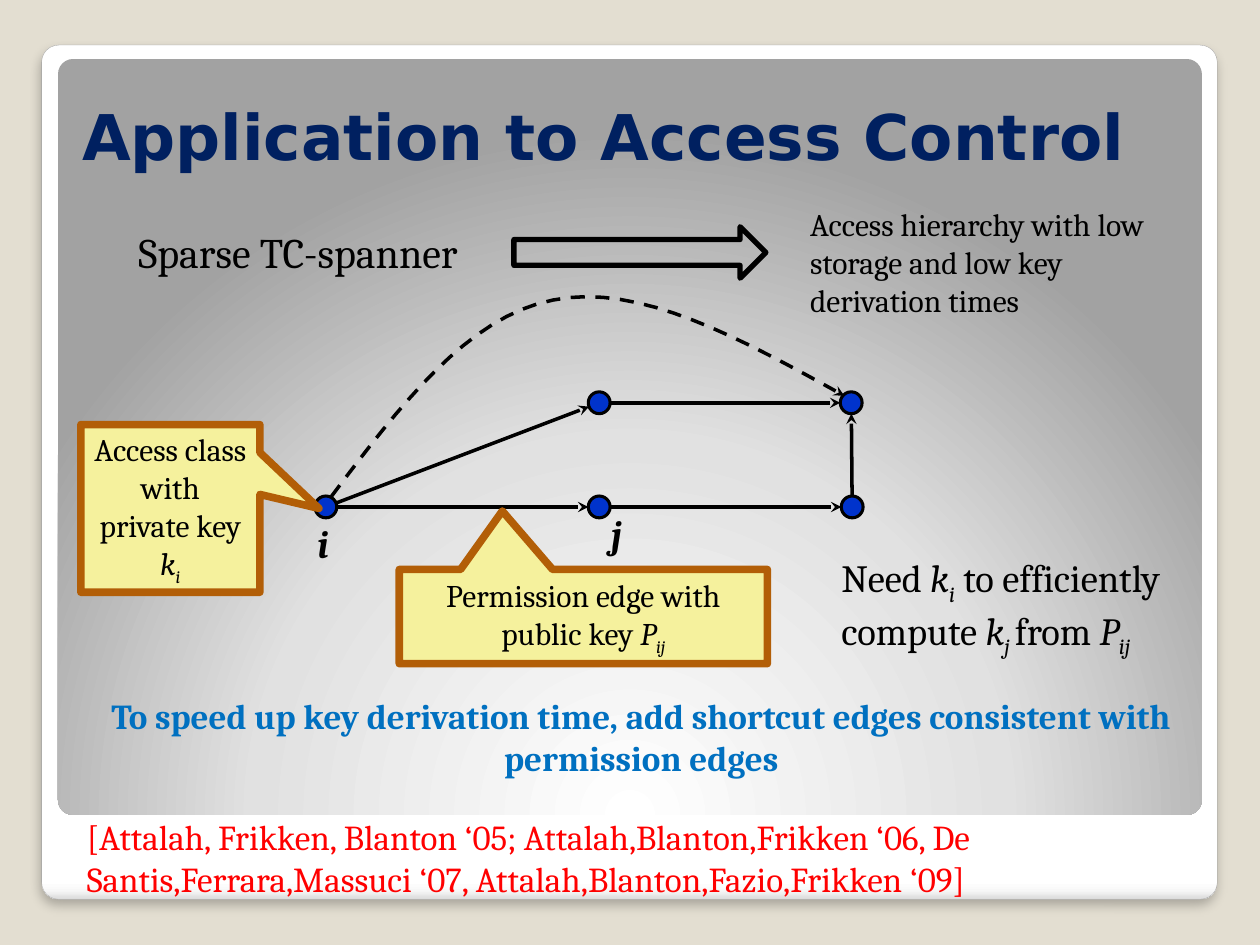
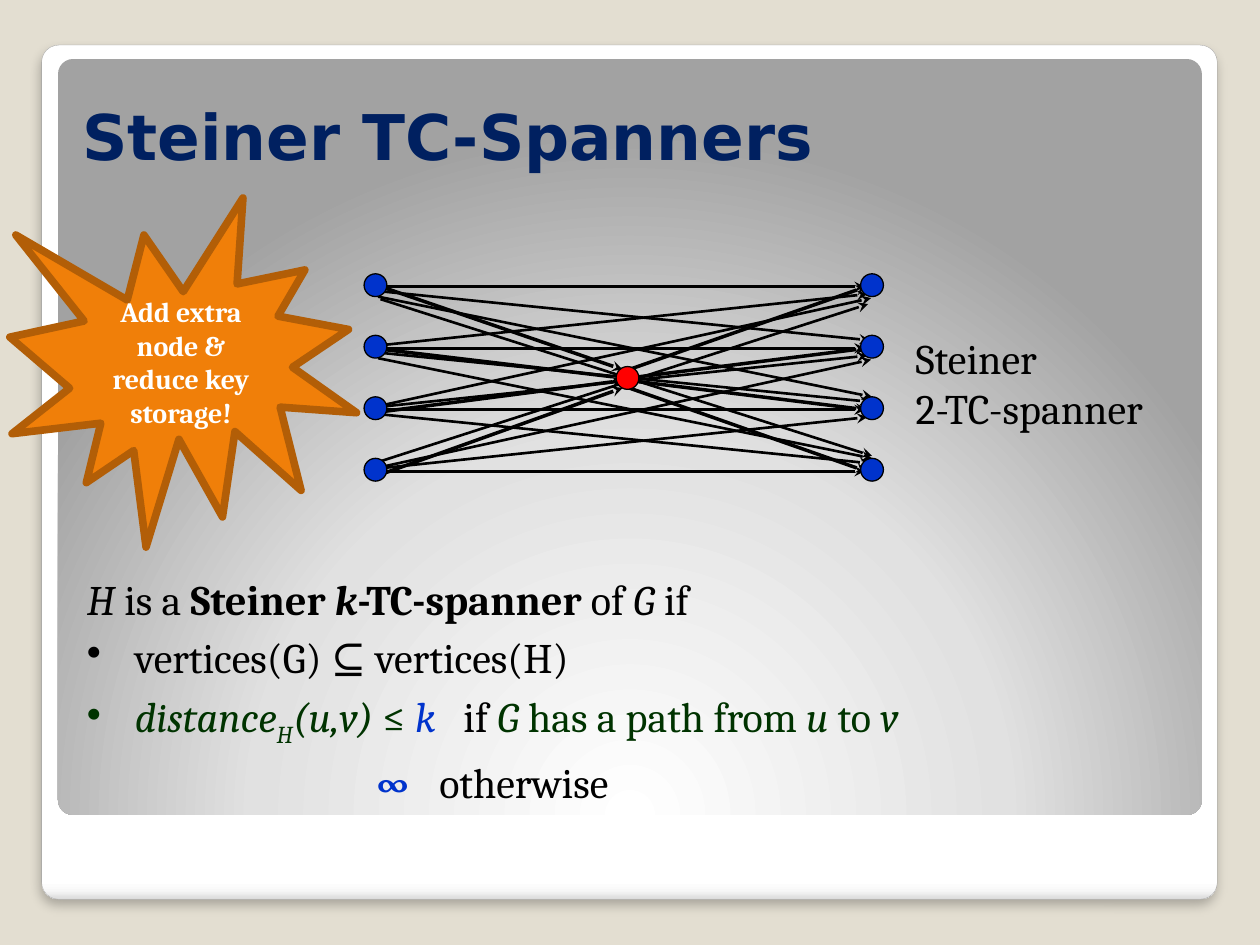
from itertools import product
from math import hypot
from lxml.etree import SubElement
from pptx import Presentation
from pptx.dml.color import RGBColor
from pptx.enum.dml import MSO_LINE as Dash
from pptx.enum.shapes import MSO_CONNECTOR as Wire, MSO_SHAPE as Form
from pptx.enum.text import MSO_ANCHOR as Anchor, MSO_AUTO_SIZE as Fit, PP_ALIGN as Align
from pptx.oxml.ns import qn
from pptx.util import Cm, Pt

BLACK, WHITE, RED = "000000", "FFFFFF", "FF0000"
NAVY, BLUE, SKY, GREEN = "002060", "0033CC", "0070C0", "003300"
SAND, LEMON, AMBER, RUST = "E3DED1", "F5F19D", "F07F09", "B25E07"
BODY = {"name": "Cambria", "hue": BLACK}
ITAL = {"italic": True}
BOLD = {"bold": True}
SUB = {"italic": True, "baseline": -25000}


def tint(code):
    return RGBColor.from_string(code)


def cms(*sizes):
    return [Cm(size) for size in sizes]


def node(parent, tag, **attrs):
    return SubElement(parent, qn(tag), {key: str(val) for key, val in attrs.items()})


def style(run, look):
    for key, val in look.items():
        if key == "hue":
            run.font.color.rgb = tint(val)
        elif key in ("baseline", "spc"):
            run.font._element.set(key, str(val))
        else:
            setattr(run.font, key, val)


def fill_text(frame, paras, look, align=Align.LEFT, anchor=Anchor.TOP, wrap=True):
    for key, val in {"word_wrap": wrap, "auto_size": Fit.NONE, "vertical_anchor": anchor}.items():
        setattr(frame, key, val)
    for num, runs in enumerate(paras):
        para = frame.add_paragraph() if num else frame.paragraphs[0]
        para.alignment = align
        for text, extra in runs:
            run = para.add_run()
            run.text = text
            style(run, {**look, **extra})
    return frame


def label(slide, box, paras, size, align=Align.LEFT, wrap=True, **extra):
    frame = slide.shapes.add_textbox(*cms(*box)).text_frame
    return fill_text(frame, paras, {**BODY, "size": Pt(size), **extra}, align, wrap=wrap)


def stroke(line, hue, width):
    line.color.rgb = tint(hue)
    line.width = Pt(width)


def block(slide, form, box, fill=None, edge=None, width=1, adjust=()):
    shape = slide.shapes.add_shape(form, *cms(*box))
    shape.shadow.inherit = False
    for num, val in enumerate(adjust):
        shape.adjustments[num] = val
    if fill:
        shape.fill.solid()
        shape.fill.fore_color.rgb = tint(fill)
    else:
        shape.fill.background()
    if edge:
        stroke(shape.line, edge, width)
    else:
        shape.line.fill.background()
    return shape


def tip(line):
    node(line._get_or_add_ln(), "a:tailEnd", type="stealth")


def link(slide, x1, y1, x2, y2, width):
    wire = slide.shapes.add_connector(Wire.STRAIGHT, *cms(x1, y1, x2, y2))
    stroke(wire.line, BLACK, width)
    tip(wire.line)
    node(wire.element.spPr, "a:effectLst")


def dot(slide, x, y, radius, width, fill=BLUE):
    box = x - radius, y - radius, 2 * radius, 2 * radius
    block(slide, Form.OVAL, box, fill, BLACK, width)


def blend(shape, stops):
    shape.fill.gradient()
    grad = shape.element.spPr.find(qn("a:gradFill"))
    for child in list(grad):
        grad.remove(child)
    group = node(grad, "a:gsLst")
    for place, hue in stops:
        node(node(group, "a:gs", pos=place * 1000), "a:srgbClr", val=hue)
    return grad


def frame(slide, master):
    master.background.fill.solid()
    master.background.fill.fore_color.rgb = tint(SAND)
    card = block(slide, Form.ROUNDED_RECTANGLE, (0.84, 0.91, 23.7, 17.22),
                 edge="A4A4A4", width=0.16, adjust=[0.02])
    grad = blend(card, [(0, WHITE), (98, WHITE), (99, "F7F7F7"), (100, "DADADA")])
    node(grad, "a:lin", ang=5400000, scaled=0)
    glow = node(card.element.spPr.find(qn("a:effectLst")), "a:outerShdw",
                blurRad=Pt(6), dist=Pt(4), dir=5400000, algn="t", rotWithShape=0)
    node(node(glow, "a:srgbClr", val=BLACK), "a:alpha", val=25000)
    panel = block(slide, Form.ROUNDED_RECTANGLE, (1.17, 1.19, 23.06, 15.24), adjust=[0.02])
    grad = blend(panel, [(0, WHITE), (55, "E1E1E1"), (100, "A2A2A2")])
    node(node(grad, "a:path", path="circle"), "a:fillToRect", l=50000, t=175000, r=50000, b=-75000)
    for num, shape in enumerate((card, panel)):
        shape.element.nvSpPr.cNvPr.set("id", str(20 + num))
        master.shapes.element.insert(2 + num, shape.element)


def title(slide, text):
    head = slide.shapes.title
    for key, val in zip(("left", "top", "width", "height"), cms(1.4, 0.69, 22.73, 2.92)):
        setattr(head, key, val)
    look = {"name": "DejaVu Sans", "size": Pt(36), "bold": True, "hue": NAVY}
    fill_text(head.text_frame, [[(text, {})]], look, anchor=Anchor.BOTTOM)


def claim(slide, x, y):
    label(slide, (x, y + 0.44, 7.7, 1.27), [[("Sparse TC-spanner", {})]], 24, wrap=False)
    block(slide, Form.RIGHT_ARROW, (x + 7.82, y + 0.56, 5.08, 1.04), edge=BLACK, width=3)
    text = "Access hierarchy with low storage and low key derivation times"
    label(slide, (x + 13.54, y, 7.82, 2.57), [[(text, {})]], 18)


def curve(points, steps=16):
    a, b, c, d = points
    for step in range(1, steps + 1):
        t = step / steps
        s = 1 - t
        yield tuple(Cm(s**3 * p + 3 * s * s * t * q + 3 * s * t * t * r + t**3 * u)
                    for p, q, r, u in zip(a, b, c, d))


def graph(slide, x, y):
    radius = 0.22
    spots = {"i": (x, y), "j": (x + 5.51, y), "end": (x + 10.61, y),
             "mid": (x + 5.51, y - 2.1), "top": (x + 10.59, y - 2.1)}
    for start, stop in ("i", "mid"), ("i", "j"), ("j", "end"), ("mid", "top"), ("end", "top"):
        (x1, y1), (x2, y2) = spots[start], spots[stop]
        span = hypot(x2 - x1, y2 - y1) / radius
        dx, dy = (x2 - x1) / span, (y2 - y1) / span
        link(slide, x1 + dx, y1 + dy, x2 - dx, y2 - dy, 2)
    for spot in spots.values():
        dot(slide, *spot, radius, 1.75)
    bends = [(x + dx, y + dy) for dx, dy in (
        (0.11, -0.21), (1.48, -2.02), (2.85, -3.84), (4.58, -4.17),
        (6.31, -4.53), (8.37, -3.39), (10.45, -2.24))]
    path = slide.shapes.build_freeform(*cms(*bends[0]))
    path.add_line_segments([*curve(bends[:4]), *curve(bends[3:])], close=False)
    arc = path.convert_to_shape()
    arc.shadow.inherit = False
    arc.fill.background()
    stroke(arc.line, BLACK, 2)
    arc.line.dash_style = Dash.DASH
    tip(arc.line)
    for name, dx, dy in ("i", -0.42, 0.14), ("j", 5.5, -0.06):
        label(slide, (x + dx, y + dy, 0.79, 1.19), [[(name, ITAL)]], 22, wrap=False, bold=True)


def callout(slide, box, adjust, text, key, index):
    shape = block(slide, Form.RECTANGULAR_CALLOUT, box, LEMON, RUST, 4.33, adjust)
    runs = [(text, {}), (key, ITAL), (index, SUB)]
    fill_text(shape.text_frame, [runs], {**BODY, "size": Pt(18)}, Align.CENTER, Anchor.MIDDLE)


def notes(slide, x, y):
    callout(slide, (x, y, 3.61, 3.38), (0.83, 0), "Access class with private key ", "k", "i")
    callout(slide, (x + 6.42, y + 2.92, 7.42, 1.9), (-0.22, -1.12),
            "Permission edge with public key ", "P", "ij")
    need = [("Need ", {}), ("k", ITAL), ("i", SUB), (" to efficiently compute ", {}),
            ("k", ITAL), ("j ", SUB), ("from ", {}), ("P", ITAL), ("ij", SUB)]
    label(slide, (x + 15.08, y + 2.49, 7.8, 2.13), [need], 22)


def close(slide, x, y):
    text = "To speed up key derivation time, add shortcut edges consistent with permission edges"
    label(slide, (x, y, 22.86, 1.96), [[(text, {})]], 20, Align.CENTER, hue=SKY, bold=True)
    cite = ("[Attalah, Frikken, Blanton ‘05; Attalah,Blanton,Frikken ‘06, "
            "De Santis,Ferrara,Massuci ‘07, Attalah,Blanton,Fazio,Frikken ‘09]")
    label(slide, (x, y + 2.44, 22.86, 1.96), [[(cite, {})]], 20, hue=RED)


def mesh(slide, x, y):
    far, radius = x + 10.01, 0.23
    rows = [y + 1.24 * num for num in range(4)]
    ends = {0: (0.13, 0.03, -0.15, 0.03),
            1: (0.18, 0.13, -0.05, -0.13), -1: (0.1, -0.03, -0.1, 0.18),
            2: (0.05, 0.23, 0, -0.23), -2: (0.04, -0.04, -0.02, 0.26),
            3: (0.1, 0.28, 0, -0.28), -3: (0.13, -0.18, -0.08, 0.38)}
    for start, stop in product(range(4), repeat=2):
        x1, y1, x2, y2 = ends[stop - start]
        link(slide, x + x1, rows[start] + y1, far + x2, rows[stop] + y2, 1.5)
    hub, level = x + 5.08, y + 1.87
    for row, shift in zip(rows, (-0.17, 0, 0.05, 0.2)):
        link(slide, x + 0.2, row + 0.06, hub - 0.1, level + shift, 2)
        link(slide, hub + 0.03, level + shift, far - 0.12, row + 0.03, 2)
    dot(slide, hub, level, radius, 0.75, RED)
    for side, row in product((x, far), rows):
        dot(slide, side, row, radius, 0.75)
    label(slide, (x + 10.64, y + 0.83, 5.72, 2.31),
          [[("Steiner", {})], [("2-TC-spanner", {})]], 24)


def burst(slide, x, y):
    shape = block(slide, Form.EXPLOSION1, (x, y, 6.99, 7.04), AMBER, RUST, 4.33)
    look = {**BODY, "hue": WHITE, "size": Pt(16), "bold": True}
    fill_text(shape.text_frame, [[("Add extra node & reduce key storage!", {})]],
              look, Align.CENTER, Anchor.MIDDLE)


def rules(slide, x, y):
    leaf = {"hue": GREEN}
    slant = {**leaf, **ITAL}
    gap = (" ", {"spc": 1060})
    paras = [
        [("H", ITAL), (" is a ", {}), ("Steiner ", BOLD), ("k", {**BOLD, **ITAL}),
         ("-TC-spanner ", BOLD), ("of ", {}), ("G", ITAL), (" if", {})],
        [("vertices(G) ⊆ vertices(H)", {})],
        [("distance", slant), ("H", {**leaf, **SUB}), ("(u,v) ", slant), ("≤ ", leaf),
         ("k", {"hue": BLUE, **ITAL}), gap, ("if ", {}), ("G ", slant),
         ("has a path from", leaf), (" u ", slant), ("to ", leaf), ("v", slant)],
        [("∞", {"hue": BLUE, **BOLD}), gap, ("otherwise", {})]]
    text = label(slide, (x, y, 23.29, 6.12), paras, 24)
    margins = (0.97, -0.97), (0.97, -0.97), (0.97, -0.97), (5.81, 0)
    for num, (para, (left, hang)) in enumerate(zip(text.paragraphs, margins)):
        para.space_before = Pt(4.8)
        props = para._p.get_or_add_pPr()
        for key, val in {"marL": left, "indent": hang}.items():
            props.set(key, str(Cm(val)))
        if num in (1, 2):
            node(props, "a:buChar", char="•")


def main():
    deck = Presentation()
    deck.slide_width, deck.slide_height = cms(25.4, 19.05)
    plain = deck.slide_layouts[5]
    access = deck.slides.add_slide(plain)
    frame(access, deck.slide_master)
    title(access, "Application to Access Control")
    claim(access, 2.54, 4.01)
    graph(access, 6.57, 10.22)
    notes(access, 1.63, 8.56)
    close(access, 1.5, 13.87)
    steiner = deck.slides.add_slide(plain)
    title(steiner, "Steiner TC-Spanners")
    rules(steiner, 1.5, 11.43)
    mesh(steiner, 7.57, 5.75)
    burst(steiner, 0.2, 3.99)
    deck.save("out.pptx")


if __name__ == "__main__":
    main()
